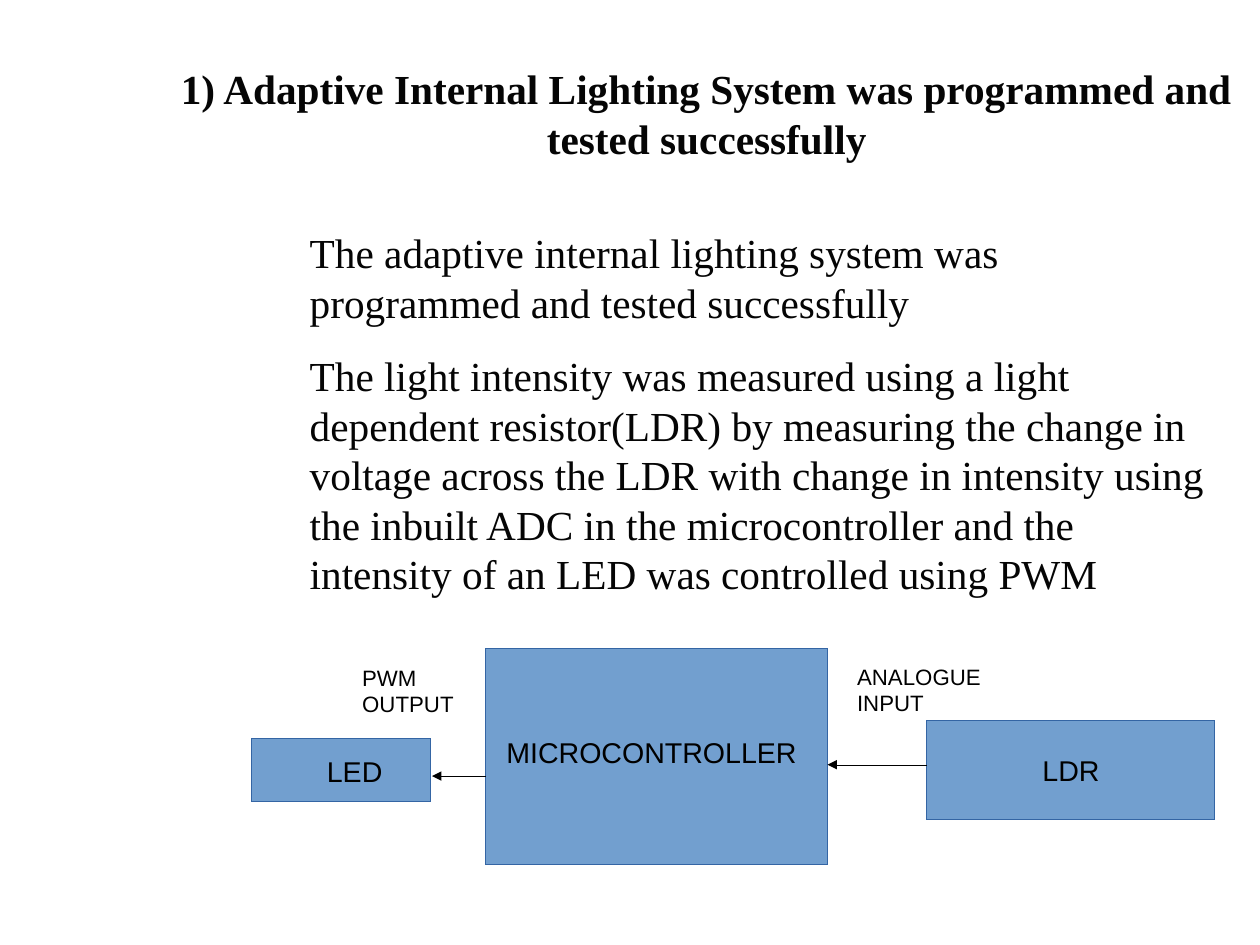
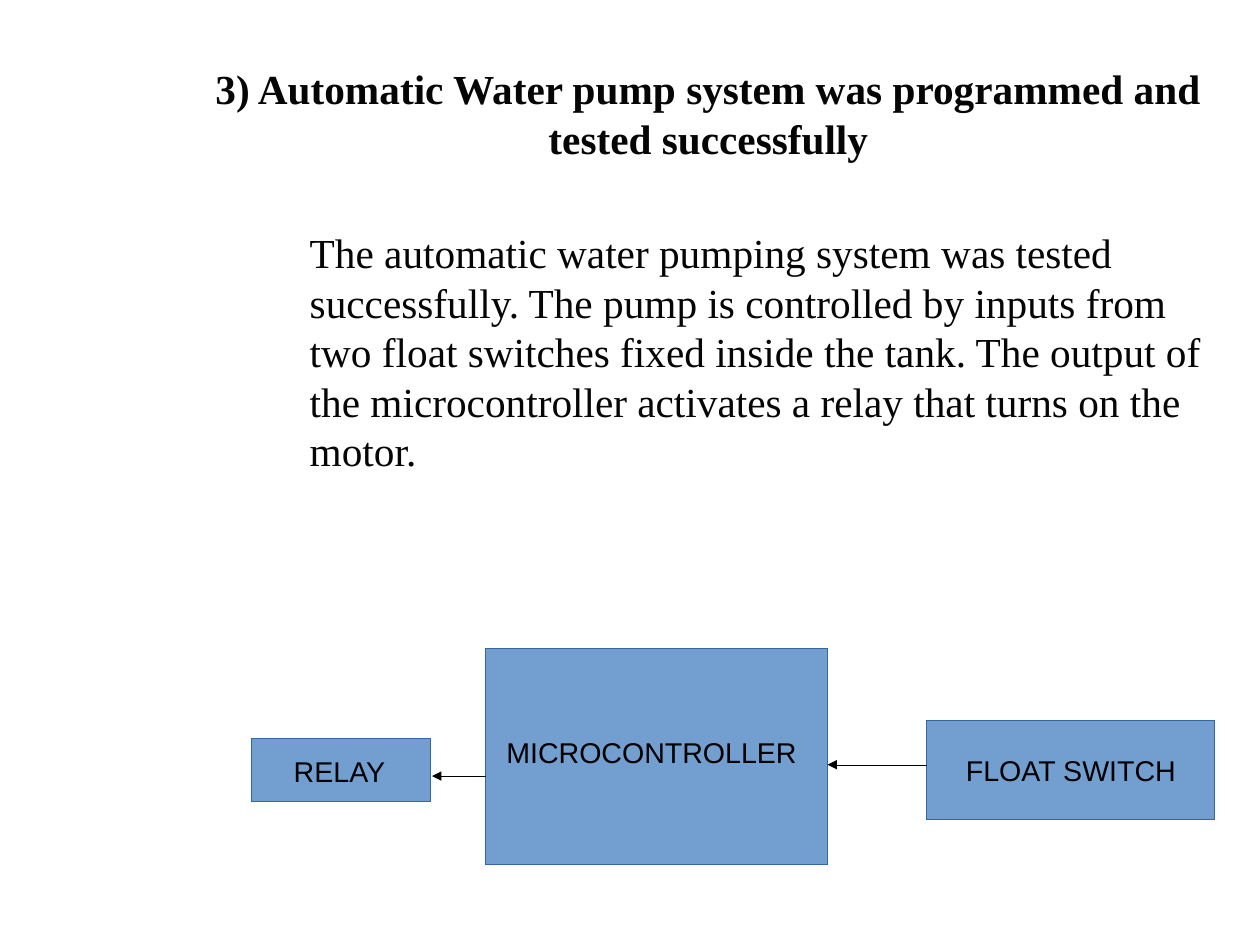
from lxml import etree
from pptx import Presentation
from pptx.dml.color import RGBColor
from pptx.enum.shapes import MSO_CONNECTOR, MSO_SHAPE
from pptx.enum.text import MSO_ANCHOR, PP_ALIGN
from pptx.oxml.ns import qn
from pptx.util import Inches, Pt

LEFT, CENTER = PP_ALIGN.LEFT, PP_ALIGN.CENTER
TOP, MIDDLE = MSO_ANCHOR.TOP, MSO_ANCHOR.MIDDLE
RECTANGLE = MSO_SHAPE.RECTANGLE
STRAIGHT = MSO_CONNECTOR.STRAIGHT

CM_PER_INCH = 2.54
HAIRLINE = Pt(0.01)  # python-pptx drops a width of 0, which brings back the theme's width
BOX_FILL, BOX_LINE = "729FCF", "3465A4"
BLACK, TEXT_COLOR = "000000", "050505"
LABEL_INSETS = (0.1, 0.05, 0.1, 0.05)
HEADING_STYLE = dict(size=26, font="Times New Roman", color=TEXT_COLOR)

SLIDES = [
    dict(
        title="1) Adaptive Internal Lighting System was programmed and tested successfully",
        title_place=(1.34, 0.31, 9.69, 1.36),
        body=[
            "The adaptive internal lighting system was programmed and tested successfully",
            "The light intensity was measured using a light dependent resistor(LDR) by "
            "measuring the change in voltage across the LDR with change in intensity using "
            "the inbuilt ADC in the microcontroller and the intensity of an LED was "
            "controlled using PWM",
        ],
        body_height=4.79,
        output=("LED", 0.66),
        input="LDR",
        captions=[("ANALOGUE INPUT", 7.4, 5.75), ("PWM OUTPUT", 3.07, 5.76)],
    ),
    dict(
        title="3) Automatic Water pump system was programmed and tested successfully",
        title_place=(1.77, 0.31, 8.86, 1.36),
        body=[
            "The automatic water pumping system was tested successfully. The pump is "
            "controlled by inputs from two float switches fixed inside the tank. The output "
            "of the microcontroller activates a relay that turns on the motor.",
        ],
        body_height=2.49,
        output=("RELAY", 0.37),
        input="FLOAT SWITCH",
        captions=[],
    ),
]
ARROWS = [(8.11, 7.24, 6.69), (4.25, 3.78, 6.79)]


def rgb(value):
    return RGBColor.from_string(value)


def add_text(slide, text, place, size=18, font="Arial", color=BLACK, bold=False,
             align=LEFT, anchor=TOP, insets=(0, 0, 0, 0), space_after=0, box=False):
    """Add text (one string or a list of paragraphs), in a filled rectangle if box is set."""
    place = [Inches(length) for length in place]
    if box:
        shape = slide.shapes.add_shape(RECTANGLE, *place)
        shape.shadow.inherit = False
        shape.fill.solid()
        shape.fill.fore_color.rgb = rgb(BOX_FILL)
        shape.line.color.rgb = rgb(BOX_LINE)
        shape.line.width = HAIRLINE
    else:
        shape = slide.shapes.add_textbox(*place)
    frame = shape.text_frame
    frame.word_wrap = True
    frame.vertical_anchor = anchor
    (frame.margin_left, frame.margin_top,
     frame.margin_right, frame.margin_bottom) = [Inches(inset) for inset in insets]
    frame.text = text if isinstance(text, str) else "\n".join(text)
    for paragraph in frame.paragraphs:
        paragraph.alignment = align
        paragraph.space_after = Pt(space_after)
        paragraph.font.size = Pt(size)
        paragraph.font.name = font
        paragraph.font.bold = bold
        paragraph.font.color.rgb = rgb(color)


presentation = Presentation()
presentation.slide_width = Inches(28 / CM_PER_INCH)
presentation.slide_height = Inches(21 / CM_PER_INCH)

for content in SLIDES:
    slide = presentation.slides.add_slide(presentation.slide_layouts[6])
    add_text(slide, content["title"], content["title_place"], bold=True,
             align=CENTER, anchor=MIDDLE, **HEADING_STYLE)
    add_text(slide, content["body"], (2.71, 1.99, 7.92, content["body_height"]),
             space_after=15, **HEADING_STYLE)

    # Block diagram: input on the right, output on the left
    output_label, output_inset = content["output"]
    add_text(slide, "MICROCONTROLLER", (4.25, 5.67, 2.99, 1.89), box=True,
             anchor=MIDDLE, insets=(0.18, 0, 0, 0.07))
    add_text(slide, content["input"], (8.11, 6.3, 2.52, 0.87), box=True,
             align=CENTER, anchor=MIDDLE, insets=LABEL_INSETS)
    add_text(slide, output_label, (2.2, 6.46, 1.57, 0.55), box=True,
             anchor=MIDDLE, insets=(output_inset, 0.02, 0, 0))

    for start, end, height in ARROWS:
        arrow = slide.shapes.add_connector(
            STRAIGHT, Inches(start), Inches(height), Inches(end), Inches(height))
        arrow.line.color.rgb = rgb(BLACK)
        arrow.line.width = HAIRLINE
        etree.SubElement(arrow.line._get_or_add_ln(), qn("a:tailEnd"), type="triangle")
        etree.SubElement(arrow._element.spPr, qn("a:effectLst"))

    for caption, left, top in content["captions"]:
        add_text(slide, caption, (left, top, 1.42, 0.54), size=14, insets=LABEL_INSETS)

presentation.save("out.pptx")
